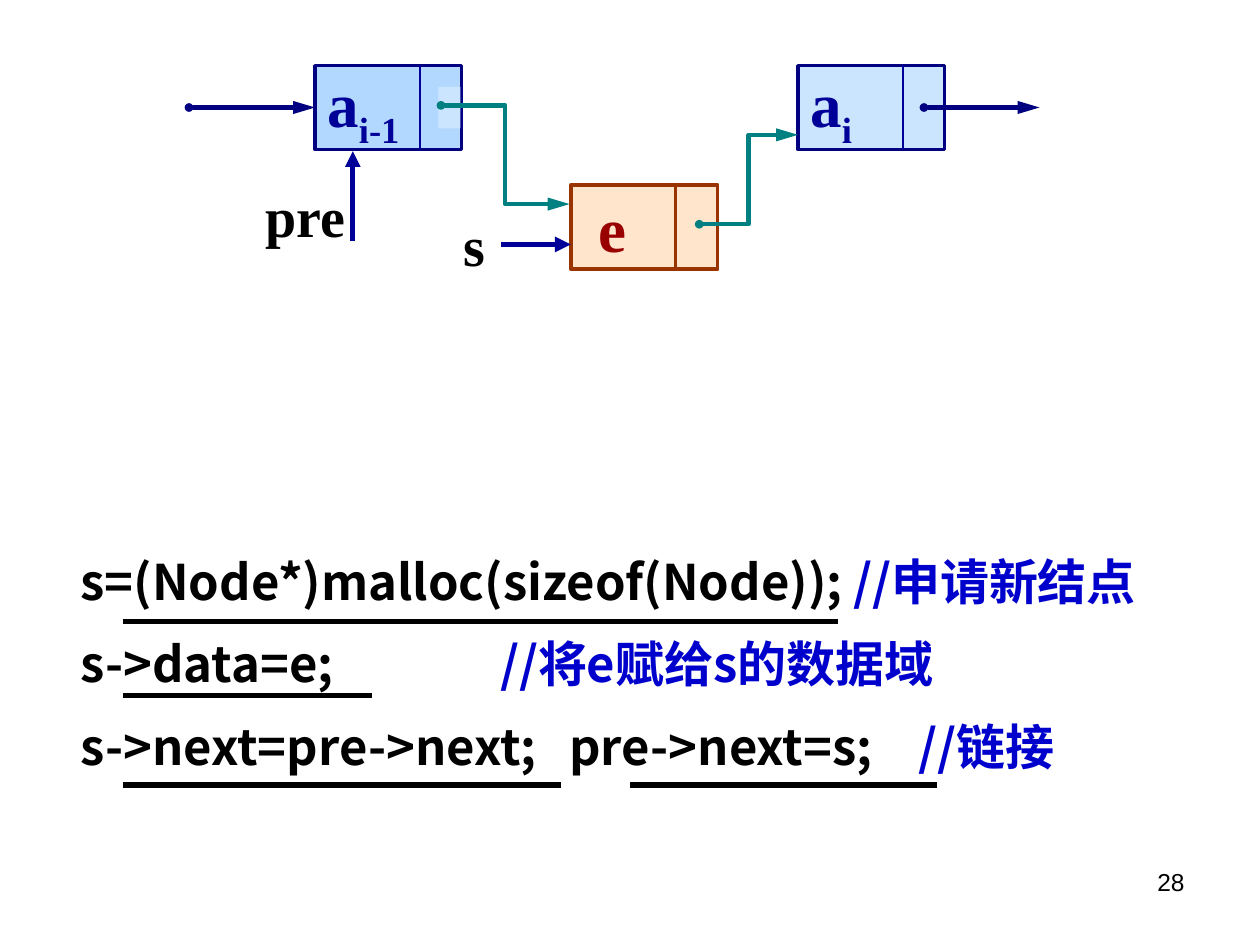
from lxml.etree import SubElement as Sub
from pptx import Presentation
from pptx.dml.color import RGBColor as RGB
from pptx.enum.shapes import MSO_CONNECTOR as Conn, MSO_SHAPE as Kind
from pptx.enum.text import MSO_ANCHOR as Anchor, PP_ALIGN as Align
from pptx.oxml.ns import qn
from pptx.util import Inches, Pt

HUE = {
    "black": "000000", "white": "FFFFFF", "navy": "000080", "ink": "000099",
    "note": "0000CC", "teal": "008080", "sky": "99CCFF", "pale": "CCE5FF",
    "peach": "FFCC99", "rust": "993300", "red": "990000",
}
SERIF, SANS = "Times New Roman", "Noto Sans CJK SC"
DOT = dict(type="oval", w="sm", len="sm")
LONG = dict(type="triangle", w="med", len="lg")
TIP = dict(type="triangle", w="med", len="med")
HIGH = 4
WIDE = 7

deck = Presentation()
deck.slide_width, deck.slide_height = Inches(10), Inches(7.5)
CELL = deck.slide_width / 60
shapes = deck.slides.add_slide(deck.slide_layouts[6]).shapes


def write(para, text, size=32, font=SERIF, hue="black", bold=True, base=0):
    run = para.add_run()
    run.text = text
    run.font.size, run.font.bold, run.font.name = Pt(size), bold, font
    run.font.color.rgb = RGB.from_string(HUE[hue])
    props = run._r.get_or_add_rPr()
    Sub(props, qn("a:ea"), typeface=font)
    if base:
        props.set("baseline", str(base * 1000))


def link(ends, hue, width, head=None, tail=None, kind=Conn.STRAIGHT):
    line = shapes.add_connector(kind, *[int(n * CELL) for n in ends])
    line.line.color.rgb = RGB.from_string(HUE[hue])
    line.line.width = Pt(width)
    stroke = line.line._get_or_add_ln()
    for tag, form in (("a:headEnd", head), ("a:tailEnd", tail)):
        if form:
            Sub(stroke, qn(tag), **form)
    Sub(line._element.spPr, qn("a:effectLst"))


plain = []
for area, hue in (((1.62, 24.84, 56.22, 16.32), "white"),
                  ((20.88, 4.14, 1.05, 1.98), "pale")):
    box = shapes.add_shape(Kind.RECTANGLE, *[int(n * CELL) for n in area])
    box.shadow.inherit = False
    box.fill.solid()
    box.fill.fore_color.rgb = RGB.from_string(HUE[hue])
    box.line.fill.background()
    plain.append(box)
code, patch = plain

frame = code.text_frame
frame.word_wrap, frame.vertical_anchor = True, Anchor.TOP
frame.margin_left = Inches(0.37)
steps = [
    ("s=(Node*)malloc(sizeof(Node)); ", "//申请新结点", []),
    ("s->data=e;\t", "//将e赋给s的数据域", [3.33]),
    ("s->next=pre->next;\tpre->next=s;\t", "//链接", [3.88, 6.65]),
]
for i, (stmt, note, stops) in enumerate(steps):
    para = frame.add_paragraph() if i else frame.paragraphs[0]
    para.line_spacing, para.alignment = 1.4, Align.LEFT
    if stops:
        tabs = Sub(para._p.get_or_add_pPr(), qn("a:tabLst"))
        for stop in stops:
            Sub(tabs, qn("a:tab"), pos=str(int(Inches(stop))), algn="l")
    write(para, stmt, 28, SANS)
    write(para, note, 28, SANS, "note")

nodes = [
    (15, 3.12, "a", "i-1", "sky", 75, "navy", 1.75, "ink", 0.1),
    (27.18, 8.82, "e", "", "peach", 50, "rust", 2, "red", 0.22),
    (38, 3.12, "a", "i", "sky", 50, "navy", 1.75, "ink", 0.1),
]
for x, y, name, sub, fill, alpha, edge, width, hue, inset in nodes:
    node = shapes.add_shape(
        Kind.RECTANGLE, *[int(n * CELL) for n in (x, y, WIDE, HIGH)])
    node.shadow.inherit = False
    node.fill.solid()
    node.fill.fore_color.rgb = RGB.from_string(HUE[fill])
    tint = node._element.spPr.find(qn("a:solidFill"))[0]
    Sub(tint, qn("a:alpha"), val=str(alpha * 1000))
    node.line.color.rgb = RGB.from_string(HUE[edge])
    node.line.width = Pt(width)
    frame = node.text_frame
    frame.vertical_anchor, frame.margin_left = Anchor.MIDDLE, Inches(inset)
    para = frame.paragraphs[0]
    para.alignment = Align.LEFT
    write(para, name, 36, hue=hue)
    if sub:
        write(para, sub, 36, hue=hue, base=-25)
    thin = name == "a"
    link((x + 5, y, x + 5, y + HIGH), "ink" if thin else edge, 0.75 if thin else width)

shapes._spTree.append(patch._element)

for x, end in ((9, 15), (44, 49.5)):
    link((x, 5.12, end, 5.12), "navy", 2.5, DOT, LONG)
for ends in ((21, 5.02, 27.12, 9.72), (33.3, 10.68, 38, 6.42)):
    link(ends, "teal", 2.5, DOT, LONG, Conn.ELBOW)

labels = [
    ("pre", 12.06, 8.34, 5.7, 3.84, Align.LEFT, {}),
    ("s", 21.48, 9.72, 2.82, 3.84, Align.LEFT, {}),
    ("28", 43, 41, 14, 3.12, Align.RIGHT, dict(size=14, font="Arial", bold=False)),
]
for text, x, y, w, h, side, form in labels:
    frame = shapes.add_textbox(*[int(n * CELL) for n in (x, y, w, h)]).text_frame
    frame.word_wrap = True
    frame.paragraphs[0].alignment = side
    write(frame.paragraphs[0], text, **form)

for ends in ((16.8, 11.46, 16.8, 7.2), (23.88, 11.64, 27.18, 11.64)):
    link(ends, "ink", 3, tail=TIP)
for x, end, y in ((5.88, 39.9, 29.58), (5.88, 17.7, 33.12),
                  (5.88, 26.7, 37.38), (30, 44.64, 37.38)):
    link((x, y, end, y), "black", 3)

deck.save("out.pptx")
